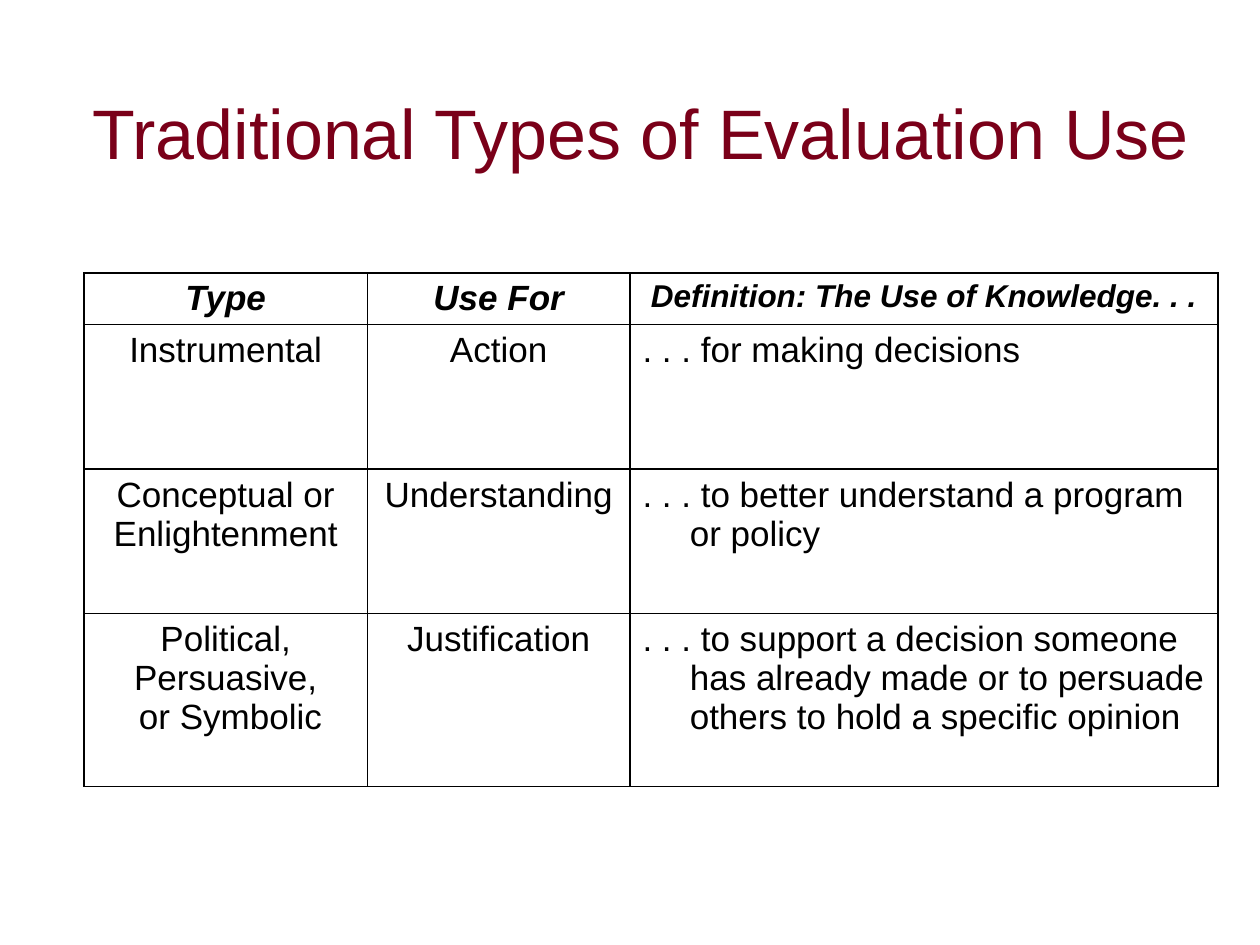
import dataclasses

import pptx
import pptx.dml.color
import pptx.enum.text
import pptx.oxml
import pptx.oxml.ns
import pptx.util

PX = 9525
ALIGN = pptx.enum.text.PP_ALIGN
COLUMNS = (216, 200, 448)
ROWS = (39, 110, 110, 132)
INDENT = 36
USES = (
    ("Type", "Use For", "Definition: The Use of Knowledge. . ."),
    ("Instrumental", "Action", ". . . for making decisions"),
    ("Conceptual or\nEnlightenment", "Understanding",
     ". . . to better understand a program or policy"),
    ("Political,\nPersuasive,\n or Symbolic", "Justification",
     ". . . to support a decision someone has already made "
     "or to persuade others to hold a specific opinion"),
)


@dataclasses.dataclass(frozen=True)
class Theme:
    font: str = "Arial"
    title: str = "7A0019"
    ink: str = "000000"
    title_size: int = 40
    body_size: int = 20
    small_size: int = 18
    rule: int = 1


THEME = Theme()


def px(n):
    return pptx.util.Emu(n * PX)


def style_paragraph(p, size, color, align, strong=False):
    p.alignment = align
    for r in p.runs:
        r.font.name = THEME.font
        r.font.size = pptx.util.Pt(size)
        r.font.color.rgb = pptx.dml.color.RGBColor.from_string(color)
        r.font.bold = r.font.italic = strong


def add_title(s, box, text):
    sp = s.shapes.title
    sp.left, sp.top, sp.width, sp.height = map(px, box)
    tf = sp.text_frame
    tf.text = text
    tf.word_wrap = True
    tf.vertical_anchor = pptx.enum.text.MSO_ANCHOR.MIDDLE
    style_paragraph(tf.paragraphs[0], THEME.title_size, THEME.title, ALIGN.CENTER)


def add_borders(cell):
    tcPr = cell._tc.get_or_add_tcPr()
    for side in ("lnL", "lnR", "lnT", "lnB"):
        tcPr.append(pptx.oxml.parse_xml(
            f'<a:{side} {pptx.oxml.ns.nsdecls("a")} w="{pptx.util.Pt(THEME.rule)}">'
            f'<a:solidFill><a:srgbClr val="{THEME.ink}"/></a:solidFill></a:{side}>'))


def fill_cell(cell, text, size, align, strong):
    add_borders(cell)
    cell.fill.background()
    cell.text_frame.text = text
    for p in cell.text_frame.paragraphs:
        pPr = p._p.get_or_add_pPr()
        pPr.set("marL", str(px(INDENT)))
        pPr.set("indent", str(px(-INDENT)))
        style_paragraph(p, size, THEME.ink, align, strong)


def add_use_table(s, left, top):
    box = (left, top, sum(COLUMNS), sum(ROWS))
    table = s.shapes.add_table(len(ROWS), len(COLUMNS), *map(px, box)).table
    table.first_row = table.horz_banding = False
    for column, width in zip(table.columns, COLUMNS):
        column.width = px(width)
    for i, (row, height) in enumerate(zip(table.rows, ROWS)):
        row.height = px(height)
        for j, text in enumerate(USES[i]):
            header, definition = i == 0, j == 2
            size = THEME.small_size if header and definition else THEME.body_size
            align = ALIGN.LEFT if definition and not header else ALIGN.CENTER
            fill_cell(table.cell(i, j), text, size, align, header)


def main():
    prs = pptx.Presentation()
    prs.slide_width, prs.slide_height = px(960), px(720)
    s = prs.slides.add_slide(prs.slide_layouts[5])
    add_title(s, (40, 40, 896, 120), "Traditional Types of Evaluation Use")
    add_use_table(s, 64, 208)
    prs.save("out.pptx")


if __name__ == "__main__":
    main()
